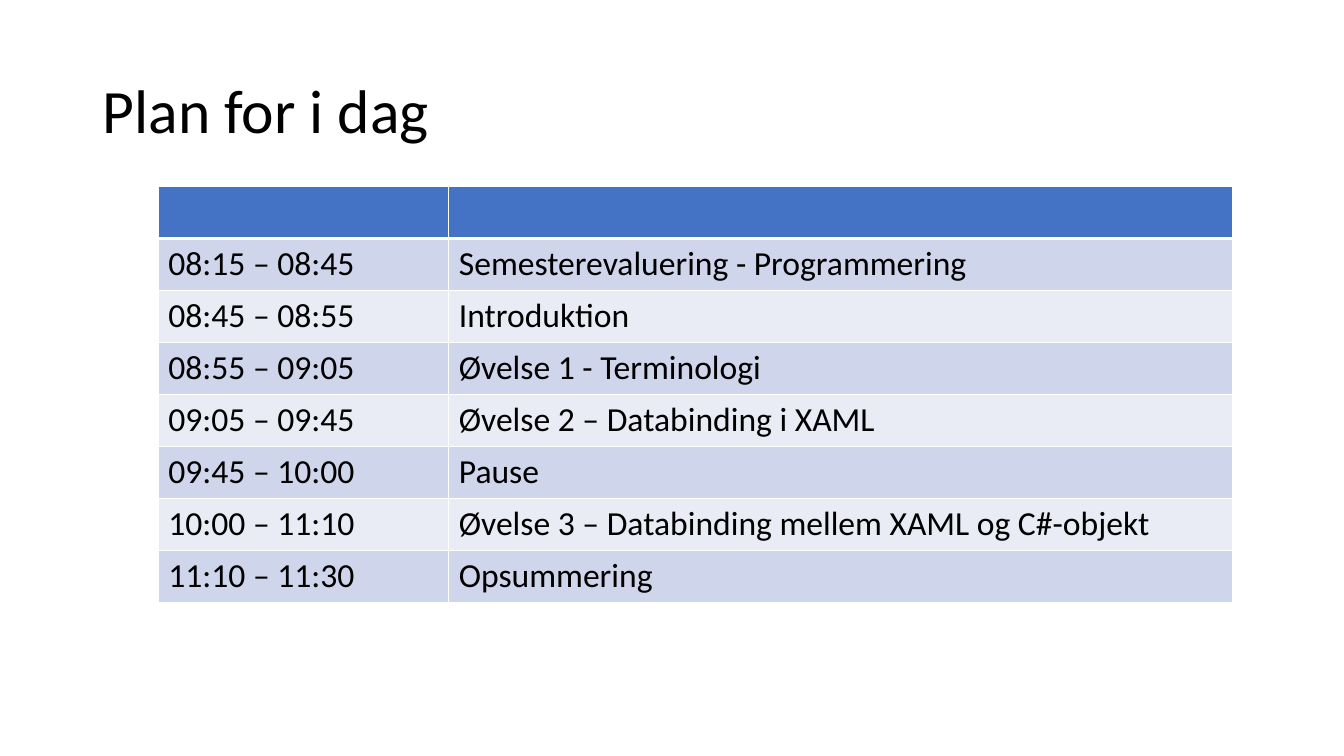
from lxml.etree import SubElement
from pptx import Presentation
from pptx.dml.color import RGBColor
from pptx.enum.text import MSO_ANCHOR
from pptx.oxml import parse_xml
from pptx.oxml.ns import nsdecls
from pptx.util import Cm, Pt

TITLE = "Plan for i dag"
PLAN = [
    ("", ""),
    ("08:15 – 08:45", "Semesterevaluering - Programmering"),
    ("08:45 – 08:55", "Introduktion"),
    ("08:55 – 09:05", "Øvelse 1 - Terminologi"),
    ("09:05 – 09:45", "Øvelse 2 – Databinding i XAML"),
    ("09:45 – 10:00", "Pause"),
    ("10:00 – 11:10", "Øvelse 3 – Databinding mellem XAML og C#-objekt"),
    ("11:10 – 11:30", "Opsummering"),
]
COLORS = {
    "text": "000000",
    "header": "4472C4",
    "odd": "CFD5EA",
    "even": "E9EBF5",
    "border": "FFFFFF",
}
TITLE_BOX = (2.34, 1.02, 29.21, 3.68)
TABLE_LEFT, TABLE_TOP = 3.99, 4.7
COLUMN_WIDTHS = (7.32, 19.76)
ROW_HEIGHT = 1.31
TITLE_FORMAT = {"name": "Calibri", "size": Pt(44)}
CELL_FORMAT = {"name": "Calibri", "size": Pt(24)}


def write_text(paragraph, text, font_format):
    run = paragraph.add_run()
    run.text = text
    for name, value in font_format.items():
        setattr(run.font, name, value)
    run.font.color.rgb = RGBColor.from_string(COLORS["text"])


def add_borders(cell, bottom_width):
    properties = cell._tc.get_or_add_tcPr()
    widths = {"lnL": 1, "lnR": 1, "lnT": 1, "lnB": bottom_width}
    for position, (side, width) in enumerate(widths.items()):
        border = parse_xml(
            f'<a:{side} {nsdecls("a")} w="{Pt(width)}"><a:solidFill>'
            f'<a:srgbClr val="{COLORS["border"]}"/></a:solidFill></a:{side}>'
        )
        properties.insert(position, border)


def add_title(slide):
    frame = slide.shapes.add_textbox(*map(Cm, TITLE_BOX)).text_frame
    frame.word_wrap = True
    frame.vertical_anchor = MSO_ANCHOR.MIDDLE
    paragraph = frame.paragraphs[0]
    paragraph.line_spacing = 0.9
    write_text(paragraph, TITLE, TITLE_FORMAT)


def add_plan(slide):
    size = (sum(COLUMN_WIDTHS), ROW_HEIGHT * len(PLAN))
    table = slide.shapes.add_table(
        len(PLAN), len(COLUMN_WIDTHS), *map(Cm, (TABLE_LEFT, TABLE_TOP, *size))
    ).table
    for column, width in zip(table.columns, COLUMN_WIDTHS):
        column.width = Cm(width)
    for index, (row, texts) in enumerate(zip(table.rows, PLAN)):
        row.height = Cm(ROW_HEIGHT)
        band = "header" if index == 0 else "odd" if index % 2 else "even"
        for cell, text in zip(row.cells, texts):
            cell.fill.solid()
            cell.fill.fore_color.rgb = RGBColor.from_string(COLORS[band])
            add_borders(cell, 3 if index == 0 else 1)
            if text:
                write_text(cell.text_frame.paragraphs[0], text, CELL_FORMAT)


def main():
    presentation = Presentation()
    presentation.slide_width = Cm(33.87)
    presentation.slide_height = Cm(19.05)
    slide = presentation.slides.add_slide(presentation.slide_layouts[6])
    add_title(slide)
    add_plan(slide)
    presentation.save("out.pptx")


if __name__ == "__main__":
    main()
